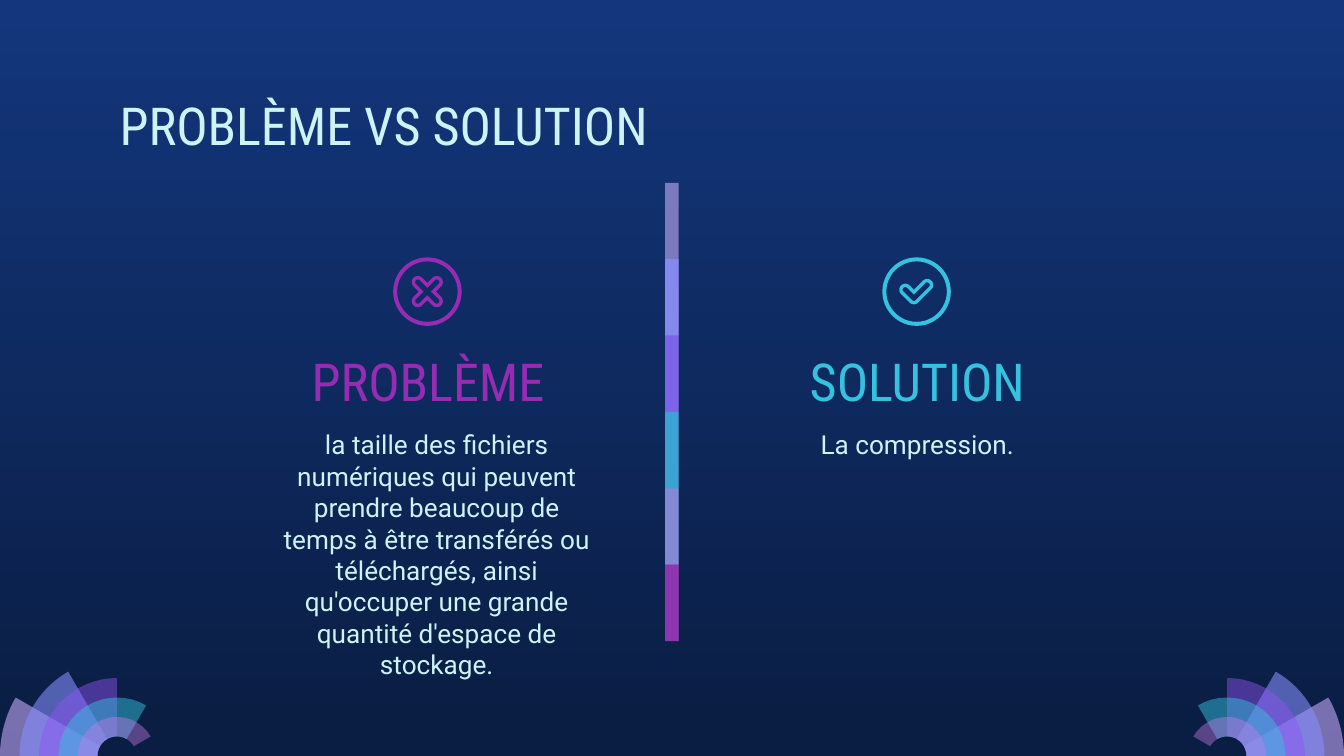
from dataclasses import dataclass
from math import cos, radians, sin, sqrt

from lxml import etree
from pptx import Presentation
from pptx.dml.color import RGBColor
from pptx.enum.shapes import MSO_SHAPE
from pptx.enum.text import MSO_ANCHOR, MSO_AUTO_SIZE, PP_ALIGN
from pptx.oxml.ns import qn
from pptx.util import Inches, Pt

RECTANGLE, DONUT = MSO_SHAPE.RECTANGLE, MSO_SHAPE.DONUT
LEFT, CENTER = PP_ALIGN.LEFT, PP_ALIGN.CENTER
TOP, NO_FIT = MSO_ANCHOR.TOP, MSO_AUTO_SIZE.NONE

PALE, PURPLE, CYAN = "CEF3F5", "972CB4", "35C2DF"
HEAD_FONT, BODY_FONT = "Roboto Condensed", "Roboto"
COMPARISON_LAYOUT = 4
SLIDE_WIDTH = 10
SLIDE_HEIGHT = SLIDE_WIDTH * 9 / 16

Point = tuple[float, float]


@dataclass
class Tint:
    color: str
    opacity: int = 100


@dataclass
class TextBlock:
    placeholder: int
    box: tuple[float, float, float, float]
    text: str
    font: str
    size: int
    color: str
    align: PP_ALIGN = CENTER


@dataclass
class Icon:
    center: Point
    hub: Point
    color: str
    arms: list[tuple[int, float]]  # angle in degrees, length in inches


PETALS = [Tint("C8ACFD", 58), Tint("878FFF", 58), Tint("9154F8", 46),
          Tint(CYAN, 49), Tint("CA7BEB", 42)]
BANDS = [Tint("C8AEF8", 59), Tint("878FFF", 74), Tint("9154F8", 53),
         Tint(CYAN, 76), Tint("CA7BEB", 56), Tint(PURPLE, 74)]
TEXTS = [
    TextBlock(0, (0.79, 0.59, 8.43, 0.63), "PROBLÈME VS SOLUTION",
              HEAD_FONT, 28, PALE, LEFT),
    TextBlock(1, (2.01, 2.5, 2.35, 0.63), "PROBLÈME", HEAD_FONT, 28, PURPLE),
    TextBlock(2, (2.01, 3.09, 2.48, 2.28),
              "la taille des fichiers numériques qui peuvent prendre beaucoup "
              "de temps à être transférés ou téléchargés, ainsi qu'occuper une "
              "grande quantité d'espace de stockage.", BODY_FONT, 14, PALE),
    TextBlock(3, (5.65, 2.5, 2.35, 0.63), "SOLUTION", HEAD_FONT, 28, CYAN),
    TextBlock(4, (5.65, 3.09, 2.35, 1.12), "La compression.",
              BODY_FONT, 14, PALE),
]
ICONS = [
    Icon((3.18, 2.17), (3.18, 2.17), PURPLE,
         [(45, 0.1), (135, 0.1), (225, 0.1), (315, 0.1)]),
    Icon((6.82, 2.17), (6.8, 2.22), CYAN, [(45, 0.14), (135, 0.09)]),
]


def rgb(color: str) -> RGBColor:
    return RGBColor.from_string(color)


def paint(shape, tint: Tint) -> None:
    shape.shadow.inherit = False
    shape.line.fill.background()
    shape.fill.solid()
    shape.fill.fore_color.rgb = rgb(tint.color)
    if tint.opacity < 100:
        color_node = shape.fill._xPr.find(qn("a:solidFill"))[0]
        etree.SubElement(color_node, qn("a:alpha"), val=str(tint.opacity * 1000))


def polar(center: Point, radius: float, angle: float) -> Point:
    turn = radians(angle)
    return center[0] + radius * cos(turn), center[1] - radius * sin(turn)


def arc(center: Point, radius: float, start: float, end: float) -> list[Point]:
    steps = 16
    return [polar(center, radius, start + (end - start) * i / steps)
            for i in range(steps + 1)]


def draw_outline(page, contours: list[list[Point]], tint: Tint) -> None:
    def emu(points):
        return [(Inches(x), Inches(y)) for x, y in points]

    first, *others = map(emu, contours)
    builder = page.shapes.build_freeform(*first[0])
    builder.add_line_segments(first[1:], close=True)
    for contour in others:
        builder.move_to(*contour[0])
        builder.add_line_segments(contour[1:], close=True)
    paint(builder.convert_to_shape(), tint)


def draw_fan(page, center_x: float, mirrored: bool) -> None:
    """Each petal is one ring narrower and reaches 30 degrees further."""
    center, ring = (center_x, SLIDE_HEIGHT), 0.145
    for i, tint in enumerate(PETALS):
        start, end = 180, 150 - 30 * i
        if mirrored:
            start, end = 180 - start, 180 - end
        outer = arc(center, ring * (6 - i), start, end)
        draw_outline(page, [outer + arc(center, ring, end, start)], tint)


def draw_divider(page) -> None:
    """Bands are two steps tall and overlap, except the last one."""
    top, bottom = 1.36, 4.77
    step = (bottom - top) / len(BANDS)
    for i, tint in enumerate(BANDS):
        y = top + i * step
        height = min(2 * step, bottom - y)
        band = page.shapes.add_shape(RECTANGLE, Inches(4.95), Inches(y),
                                     Inches(0.1), Inches(height))
        paint(band, tint)


def rounded_arms(hub: Point, arms: list[tuple[int, float]],
                 radius: float) -> list[Point]:
    """Outline of round-ended strokes that meet at a hub."""
    points = []
    for i, (angle, length) in enumerate(arms):
        points += arc(polar(hub, length, angle), radius, angle - 90, angle + 90)
        following = arms[(i + 1) % len(arms)][0]
        gap = (following - angle) % 360
        if gap == 90:
            points.append(polar(hub, radius * sqrt(2), angle + 45))
        else:
            points += arc(hub, radius, angle + 90, angle + gap - 90)
    return points


def draw_icon(page, icon: Icon) -> None:
    size, stroke = 0.51, 0.03
    x, y = icon.center
    ring = page.shapes.add_shape(DONUT, Inches(x - size / 2), Inches(y - size / 2),
                                 Inches(size), Inches(size))
    ring.adjustments[0] = stroke / size
    paint(ring, Tint(icon.color))
    contours = [rounded_arms(icon.hub, icon.arms, radius)
                for radius in (0.045, 0.02)]
    draw_outline(page, contours, Tint(icon.color))


def fill_text(page, block: TextBlock) -> None:
    box = page.placeholders[block.placeholder]
    box.left, box.top, box.width, box.height = map(Inches, block.box)
    frame = box.text_frame
    frame.word_wrap, frame.auto_size = True, NO_FIT
    frame.vertical_anchor = TOP
    frame.margin_left = frame.margin_right = Inches(0.1)
    frame.margin_top = frame.margin_bottom = Inches(0.1)
    para = frame.paragraphs[0]
    para.alignment = block.align
    para.space_before = Pt(0)
    properties = para._p.get_or_add_pPr()
    properties.set("marL", "0")
    properties.set("indent", "0")
    etree.SubElement(properties, qn("a:buNone"))
    span = para.add_run()
    span.text = block.text
    span.font.name, span.font.size = block.font, Pt(block.size)
    span.font.bold = False
    span.font.color.rgb = rgb(block.color)


def main() -> None:
    deck = Presentation()
    deck.slide_width, deck.slide_height = Inches(SLIDE_WIDTH), Inches(SLIDE_HEIGHT)
    page = deck.slides.add_slide(deck.slide_layouts[COMPARISON_LAYOUT])

    # Background, darker towards the bottom
    backdrop = page.background.fill
    backdrop.gradient()
    backdrop.gradient_angle = 270
    for stop, color in zip(backdrop.gradient_stops, ("13367C", "0A1D42")):
        stop.color.rgb = rgb(color)

    # Corner fans and central divider
    draw_fan(page, 0.87, mirrored=False)
    draw_fan(page, SLIDE_WIDTH - 0.87, mirrored=True)
    draw_divider(page)

    # Title, column headings and their text
    for block in TEXTS:
        fill_text(page, block)

    # Cross and check mark
    for icon in ICONS:
        draw_icon(page, icon)

    deck.save("out.pptx")


if __name__ == "__main__":
    main()
